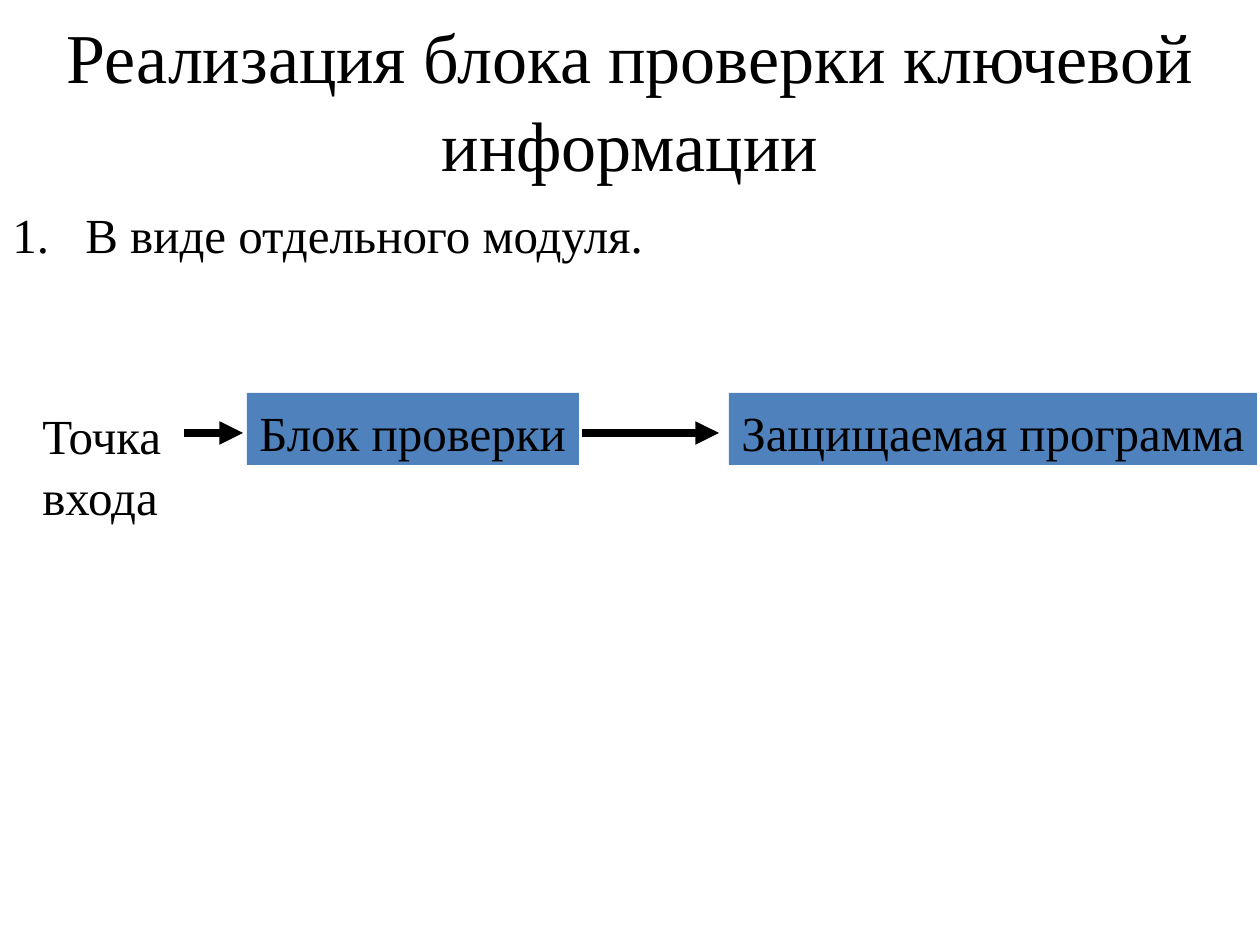
from pptx import Presentation
from pptx.dml.color import RGBColor
from pptx.enum.shapes import MSO_CONNECTOR as Conn, MSO_SHAPE as Shape
from pptx.enum.text import MSO_ANCHOR as Anchor, PP_ALIGN as Align
from pptx.oxml.ns import qn
from pptx.util import Pt
from lxml.etree import SubElement

# Content, lengths in px
PX = 7257  # EMU in one px, 126 px to the inch
FONT = "Times New Roman"
COLORS = {"ink": "000000", "box": "4F81BD", "page": "FFFFFF"}
TITLE = ("Реализация блока проверки ключевой информации", (0, 0, 1260, 195))
ITEM = ("В виде отдельного модуля.", (0, 195, 1260, 100))
ENTRY = ("Точка\vвхода", (30, 396, 150, 131))
BOXES = [
    ("Блок проверки", (247, 393, 332, 72)),
    ("Защищаемая программа", (729, 393, 528, 72)),
]
ARROWS = [(184, 243), (582, 719)]
ARROW_Y = 433
INDENT = 73


def color(name):
    return RGBColor.from_string(COLORS[name])


def scale(area):
    return [n * PX for n in area]


def write(shape, text, size=28, align=Align.LEFT, anchor=Anchor.TOP, wrap=False):
    frame = shape.text_frame
    frame.word_wrap = wrap
    frame.vertical_anchor = anchor
    frame.text = text
    para = frame.paragraphs[0]
    para.alignment = align
    para.line_spacing = 1.05
    for run in para.runs:
        run.font.name = FONT
        run.font.size = Pt(size)
        run.font.color.rgb = color("ink")
    return para


deck = Presentation()
deck.slide_width, deck.slide_height = scale((1260, 945))
slide = deck.slides.add_slide(deck.slide_layouts[5])
slide.background.fill.solid()
slide.background.fill.fore_color.rgb = color("page")
shapes = slide.shapes

# Title
text, area = TITLE
title = shapes.title
title.left, title.top, title.width, title.height = scale(area)
write(title, text, 40, Align.CENTER, Anchor.MIDDLE, True)

# Numbered item
text, area = ITEM
para = write(shapes.add_textbox(*scale(area)), text, wrap=True)
para.space_before = Pt(7)
props = para._p.get_or_add_pPr()
props.set("marL", str(INDENT * PX))
props.set("indent", str(-INDENT * PX))
SubElement(props, qn("a:buFont"), typeface=FONT)
SubElement(props, qn("a:buAutoNum"), type="arabicPeriod")

# Entry point and blocks
text, area = ENTRY
write(shapes.add_textbox(*scale(area)), text)
for text, area in BOXES:
    box = shapes.add_shape(Shape.RECTANGLE, *scale(area))
    box.shadow.inherit = False
    box.fill.solid()
    box.fill.fore_color.rgb = color("box")
    box.line.fill.background()
    write(box, text)

# Arrows, set off from the blocks by a small gap
for start, end in ARROWS:
    ends = scale((start, ARROW_Y, end, ARROW_Y))
    arrow = shapes.add_connector(Conn.STRAIGHT, *ends)
    arrow.line.color.rgb = color("ink")
    arrow.line.width = Pt(4.5)
    SubElement(arrow.line._get_or_add_ln(), qn("a:tailEnd"), type="triangle")
    SubElement(arrow._element.spPr, qn("a:effectLst"))

deck.save("out.pptx")
